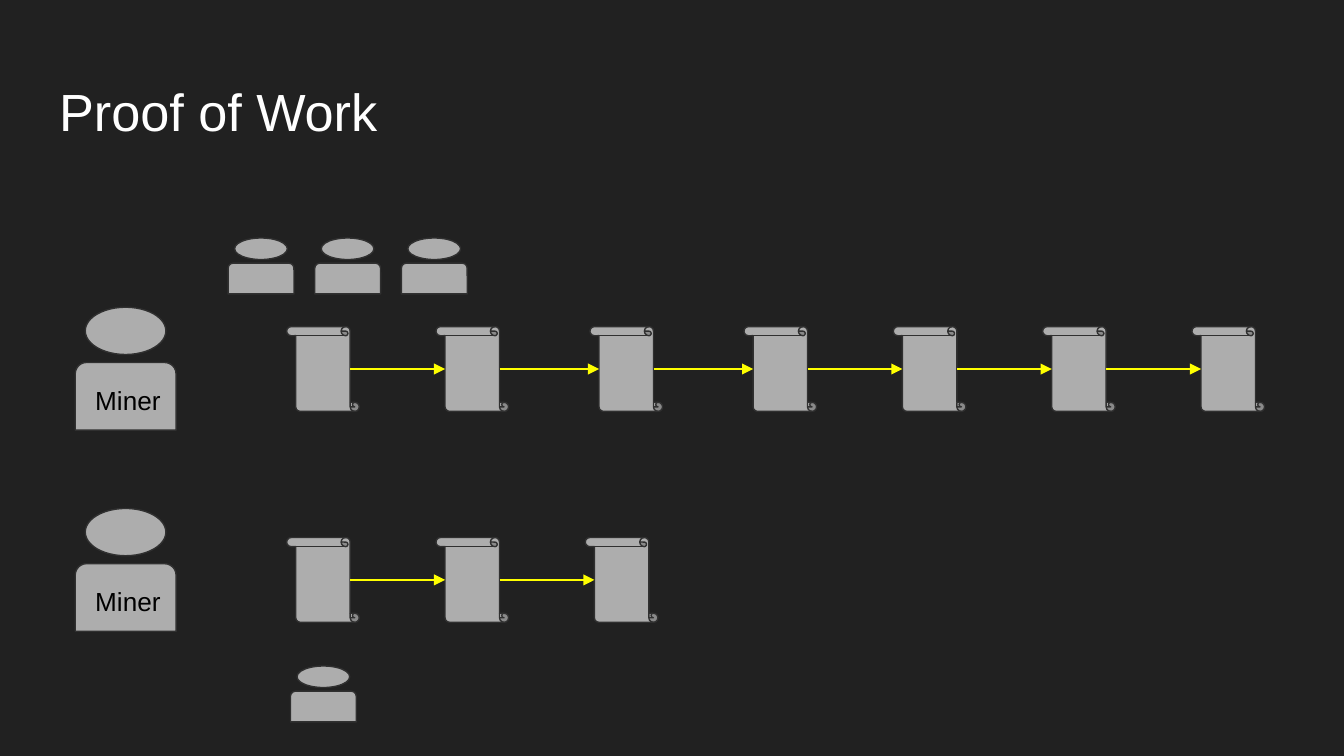
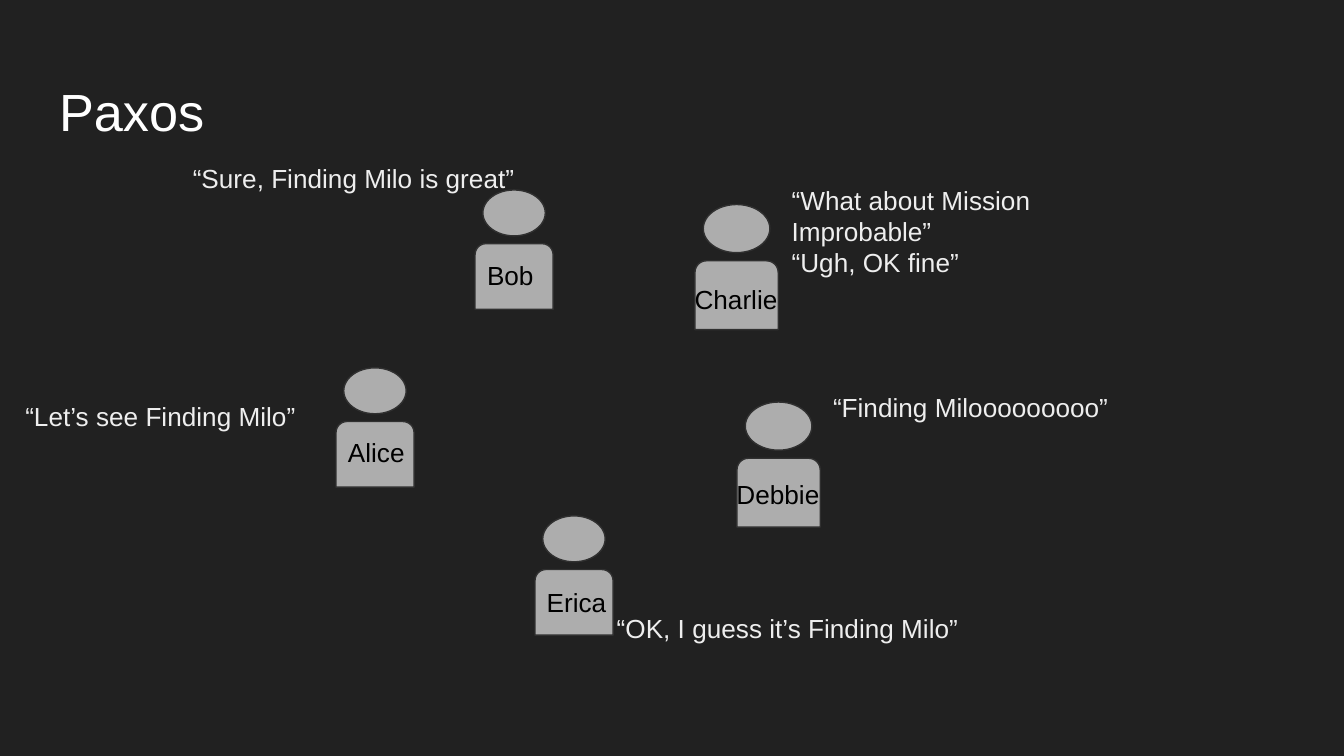
from itertools import accumulate, pairwise

from lxml.etree import SubElement
from pptx import Presentation
from pptx.dml.color import RGBColor
from pptx.enum.shapes import MSO_CONNECTOR as LINE, MSO_SHAPE as SHAPE
from pptx.enum.text import MSO_ANCHOR as ANCHOR, MSO_AUTO_SIZE as FIT, PP_ALIGN as ALIGN
from pptx.oxml.ns import qn
from pptx.util import Pt


def color(value):
    return RGBColor.from_string(value)


def write(tf, text, size=14, ink="EEEEEE", font="Arial"):
    """Fill a text frame with one left-aligned, top-anchored paragraph."""
    tf.word_wrap = True
    tf.auto_size = FIT.NONE
    tf.vertical_anchor = ANCHOR.TOP
    tf.margin_left = tf.margin_right = tf.margin_top = tf.margin_bottom = Pt(7.2)
    p = tf.paragraphs[0]
    p.alignment = ALIGN.LEFT
    r = p.add_run()
    r.text = text
    r.font.name, r.font.size = font, Pt(size)
    r.font.color.rgb = color(ink)


class Deck:
    BACK, WHITE, BLACK = "212121", "FFFFFF", "000000"
    GREY, EDGE, ARROW = "ADADAD", "303030", "FFFF00"
    SCROLL_W, SCROLL_H = 38.9, 45.4

    def __init__(self):
        self.prs = Presentation()
        self.prs.slide_width, self.prs.slide_height = Pt(720), Pt(405)
        fill = self.prs.slide_master.background.fill
        fill.solid()
        fill.fore_color.rgb = color(self.BACK)

    def slide(self, title):
        self.shapes = self.prs.slides.add_slide(self.prs.slide_layouts[5]).shapes
        sp = self.shapes.title
        sp.left, sp.top, sp.width, sp.height = Pt(24.5), Pt(35), Pt(671), Pt(45)
        write(sp.text_frame, title, size=28, ink=self.WHITE)

    def shape(self, kind, x, y, w, h):
        sp = self.shapes.add_shape(kind, Pt(x), Pt(y), Pt(w), Pt(h))
        sp.shadow.inherit = False
        sp.fill.solid()
        sp.fill.fore_color.rgb = color(self.GREY)
        sp.line.color.rgb = color(self.EDGE)
        sp.line.width = Pt(0.75)
        return sp

    def text(self, text, x, y, w, h=27.4, **fmt):
        sp = self.shapes.add_textbox(Pt(x), Pt(y), Pt(w), Pt(h))
        write(sp.text_frame, text, **fmt)

    def person(self, x, y, w, h):
        """Head over shoulders, both in proportion to the whole figure."""
        body = self.shape(SHAPE.ROUND_2_SAME_RECTANGLE, x, y + 0.45 * h, w, 0.55 * h)
        head = self.shape(SHAPE.OVAL, x + 0.1 * w, y, 0.8 * w, 0.385 * h)
        self.shapes.add_group_shape([body, head])

    def scroll(self, x, y):
        sp = self.shape(SHAPE.VERTICAL_SCROLL, x, y, self.SCROLL_W, self.SCROLL_H)
        sp._element.spPr.get_or_add_xfrm().set("flipH", "1")

    def arrow(self, x1, x2, y):
        cn = self.shapes.add_connector(LINE.STRAIGHT, Pt(x1), Pt(y), Pt(x2), Pt(y))
        cn.line.color.rgb = color(self.ARROW)
        cn.line.width = Pt(0.75)
        SubElement(cn.line._get_or_add_ln(), qn("a:tailEnd"), type="triangle")
        SubElement(cn._element.spPr, qn("a:effectLst"))

    def chain(self, x, y, steps):
        """Row of scrolls, each linked to the next by an arrow."""
        xs = list(accumulate(steps, initial=x))
        for left in xs:
            self.scroll(left, y)
        inset = self.SCROLL_W / 8
        for a, b in pairwise(xs):
            self.arrow(a + self.SCROLL_W - inset, b + inset, y + self.SCROLL_H / 2)


deck = Deck()

# Proof of Work: two miners, each with a chain
deck.slide("Proof of Work")
for top, chain_top, steps in [
    (164.6, 175, (80, 82.5, 82.5, 80, 80, 80)),
    (272.4, 288, (80, 80)),
]:
    deck.person(40.3, top, 54, 65.8)
    deck.text("Miner", 43.9, top + 34.1, 58.3, ink=deck.BLACK)
    deck.chain(153.6, chain_top, steps)

# Supporters of each chain
for x, y in [(122.2 + 46.4 * i, 127.5) for i in range(3)] + [(155.6, 356.8)]:
    deck.person(x, y, 35.3, 30)

# Paxos: five voters
deck.slide("Paxos")
SMALL, LARGE = (41.8, 63.9), (44.6, 67)
for name, x, y, size, name_x, name_y, name_w in [
    ("Alice", 180, 197.1, SMALL, 179.3, 226.8, 46.8),
    ("Bob", 254.5, 101.8, SMALL, 253.8, 131.8, 46.8),
    ("Charlie", 372.3, 109.6, LARGE, 365, 144.7, 65.5),
    ("Debbie", 394.8, 215.4, LARGE, 387.4, 249.1, 75.6),
    ("Erica", 286.6, 276.4, SMALL, 285.8, 306.7, 46.8),
]:
    deck.person(x, y, *size)
    deck.text(name, name_x, name_y, name_w, ink=deck.BLACK)

# What they say
for quote, x, y, w in [
    ("“Let’s see Finding Milo”", 6.5, 207.4, 172.8),
    ("“Sure, Finding Milo is great”", 96.2, 79.9, 204.5),
    ("“What about Mission Improbable”", 417, 91.4, 204.5),
    ("“Ugh, OK fine”", 417, 124.6, 127.4),
    ("“Finding Milooooooooo”", 439.2, 202.3, 204.5),
    ("“OK, I guess it’s Finding Milo”", 323.3, 321.1, 212.4),
]:
    deck.text(quote, x, y, w)

deck.prs.save("out.pptx")
